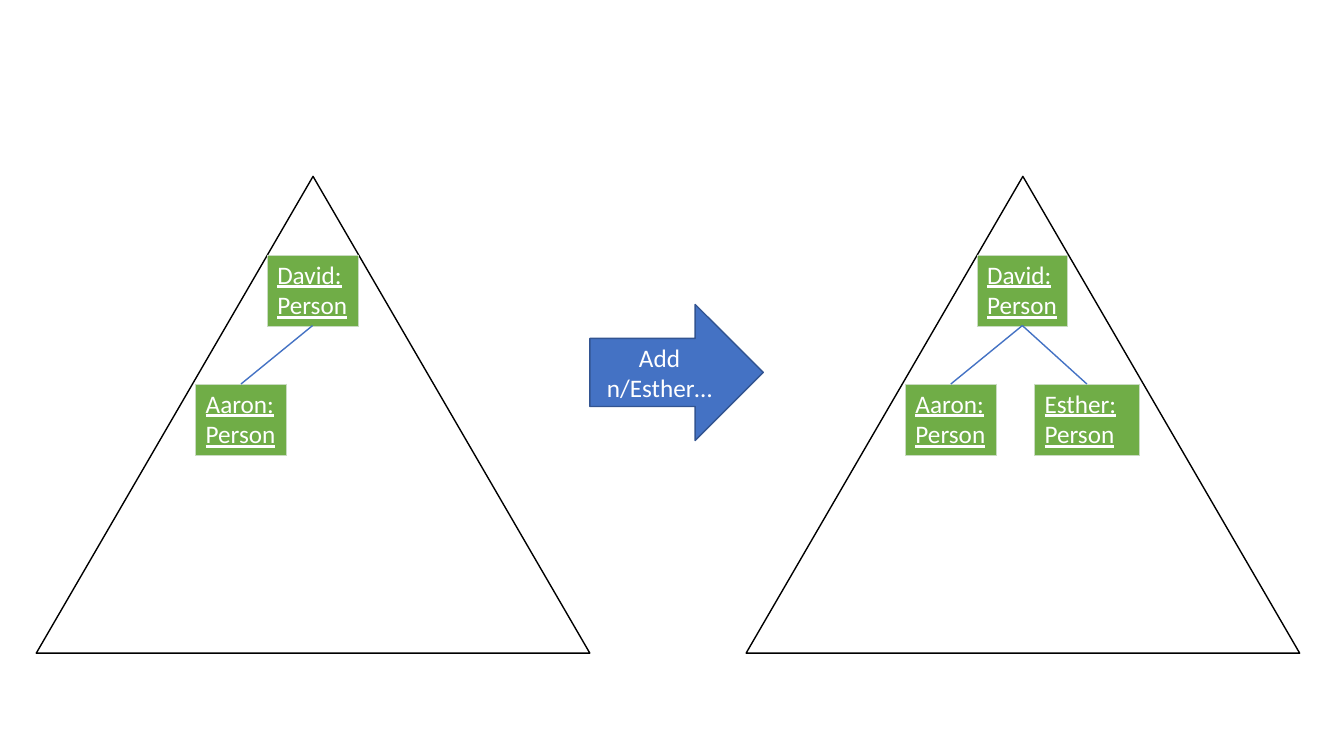
from dataclasses import dataclass

import pptx
import pptx.dml.color
import pptx.enum.shapes
import pptx.enum.text
import pptx.oxml
import pptx.oxml.ns
import pptx.util
from pptx.util import Inches


def rgb(value):
    return pptx.dml.color.RGBColor.from_string(value)


@dataclass(frozen=True)
class Theme:
    font: str = "Calibri"
    text_size: float = 18
    line_width: float = 1
    border_width: float = 0.5
    outline: str = "000000"
    text: str = "FFFFFF"
    person: str = "70AD47"
    person_border: str = "C9DBC1"
    command: str = "4472C4"
    command_edge: str = "325491"


THEME = Theme()
SHAPES = pptx.enum.shapes.MSO_SHAPE
TREE_STEP = 7.04
BOX_HEIGHT = 0.7
DAVID = ("David:", 2.65, 2.53, 0.9)
AARON = ("Aaron:", 1.94, 3.81, 0.9)
ESTHER = ("Esther:", 3.22, 3.81, 1.04)


def write_lines(frame, lines, underline=False, align=None):
    font_format = {"name": THEME.font, "size": pptx.util.Pt(THEME.text_size),
                   "underline": underline}
    for index, line in enumerate(lines):
        paragraph = frame.paragraphs[0] if index == 0 else frame.add_paragraph()
        paragraph.alignment = align
        run = paragraph.add_run()
        run.text = line
        for key, value in font_format.items():
            setattr(run.font, key, value)
        run.font.color.rgb = rgb(THEME.text)


def add_outlined(slide, kind, box, line, fill=None):
    shape = slide.shapes.add_shape(kind, *map(Inches, box))
    shape.shadow.inherit = False
    if fill:
        shape.fill.solid()
        shape.fill.fore_color.rgb = rgb(fill)
    else:
        shape.fill.background()
    shape.line.color.rgb = rgb(line)
    shape.line.width = pptx.util.Pt(THEME.line_width)
    return shape


def add_cell_borders(cell):
    properties = cell._tc.get_or_add_tcPr()
    width = pptx.util.Pt(THEME.border_width)
    for side in ("lnL", "lnR", "lnT", "lnB"):
        properties.append(pptx.oxml.parse_xml(
            f'<a:{side} {pptx.oxml.ns.nsdecls("a")} w="{width}"><a:solidFill>'
            f'<a:srgbClr val="{THEME.person_border}"/></a:solidFill></a:{side}>'))


def add_person(slide, person, offset):
    name, left, top, width = person
    table = slide.shapes.add_table(
        1, 1, *map(Inches, (left + offset, top, width, BOX_HEIGHT))).table
    for flag in ("first_row", "horz_banding"):
        setattr(table, flag, False)
    cell = table.cell(0, 0)
    add_cell_borders(cell)
    cell.fill.solid()
    cell.fill.fore_color.rgb = rgb(THEME.person)
    write_lines(cell.text_frame, (name, "Person"), underline=True)


def add_branch(slide, parent, child, offset):
    """Join the parent's bottom middle to the child's top middle."""
    _, parent_left, parent_top, parent_width = parent
    _, child_left, child_top, child_width = child
    ends = (parent_left + parent_width / 2 + offset, parent_top + BOX_HEIGHT,
            child_left + child_width / 2 + offset, child_top)
    branch = slide.shapes.add_connector(
        pptx.enum.shapes.MSO_CONNECTOR.STRAIGHT, *map(Inches, ends))
    branch.line.color.rgb = rgb(THEME.command)
    branch.line.width = pptx.util.Pt(THEME.line_width)
    branch._element.spPr.append(
        pptx.oxml.parse_xml(f'<a:effectLst {pptx.oxml.ns.nsdecls("a")}/>'))


def add_tree(slide, root, children, offset):
    add_outlined(slide, SHAPES.ISOSCELES_TRIANGLE,
                 (0.36 + offset, 1.75, 5.49, 4.73), THEME.outline)
    add_person(slide, root, offset)
    for child in children:
        add_person(slide, child, offset)
        add_branch(slide, root, child, offset)


def add_command(slide, lines):
    arrow = add_outlined(slide, SHAPES.RIGHT_ARROW, (5.85, 3.02, 1.72, 1.35),
                         THEME.command_edge, THEME.command)
    frame = arrow.text_frame
    frame.word_wrap = True
    frame.vertical_anchor = pptx.enum.text.MSO_ANCHOR.MIDDLE
    write_lines(frame, lines, align=pptx.enum.text.PP_ALIGN.CENTER)


def main():
    presentation = pptx.Presentation()
    presentation.slide_width = Inches(13.33)
    presentation.slide_height = Inches(7.5)
    slide = presentation.slides.add_slide(presentation.slide_layouts[6])
    add_tree(slide, DAVID, (AARON,), 0)
    add_command(slide, ("Add", "n/Esther…"))
    add_tree(slide, DAVID, (AARON, ESTHER), TREE_STEP)
    presentation.save("out.pptx")


if __name__ == "__main__":
    main()
